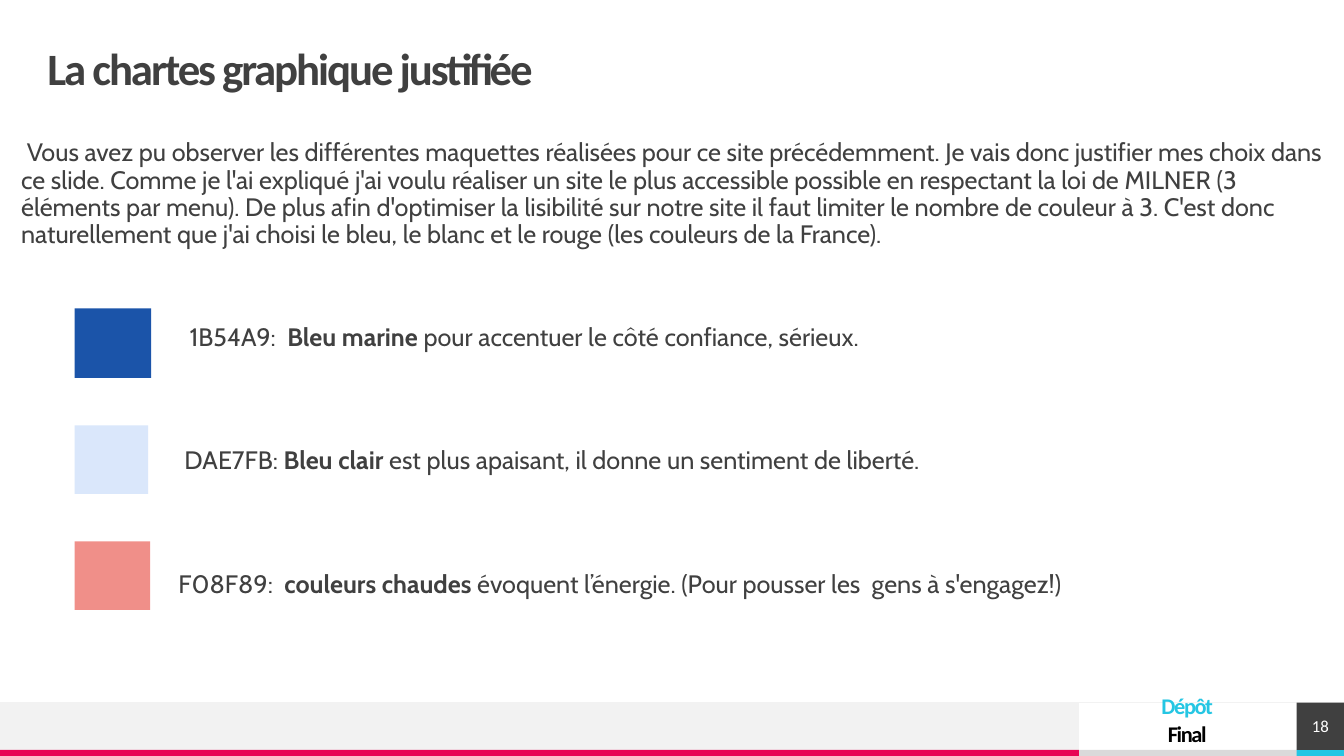
from dataclasses import dataclass

from lxml.etree import SubElement
from pptx import Presentation
from pptx.dml.color import RGBColor
from pptx.enum.shapes import MSO_CONNECTOR, MSO_SHAPE
from pptx.enum.text import MSO_ANCHOR, PP_ALIGN
from pptx.oxml.ns import qn
from pptx.util import Inches, Pt

DARK = "404040"
CYAN = "25C6E3"
PALE = "F2F2F2"
LEGEND_TOP, LEGEND_STEP = 3.22, 1.225


@dataclass
class Block:
    left: float
    top: float
    width: float
    height: float
    color: str


@dataclass
class Legend:
    swatch: Block
    text_left: float
    code: str
    name: str
    reason: str


FOOTER = [
    Block(10.7, 7.44, 2.17, 0.06, "DADADA"),
    Block(0, 6.97, 10.7, 0.47, PALE),
    Block(0, 7.44, 10.7, 0.06, "E80554"),
    Block(12.86, 7.44, 0.47, 0.06, CYAN),
]

LEGENDS = [
    Legend(Block(0.74, 3.06, 0.76, 0.69, "1B54A9"), 1.88, "1B54A9:  ",
           "Bleu marine", " pour accentuer le côté confiance, sérieux."),
    Legend(Block(0.74, 4.22, 0.73, 0.68, "DAE7FB"), 1.83, "DAE7FB: ",
           "Bleu clair", " est plus apaisant, il donne un sentiment de liberté."),
    Legend(Block(0.74, 5.37, 0.75, 0.68, "F08F89"), 1.77, "F08F89:  ",
           "couleurs chaudes",
           " évoquent l’énergie. (Pour pousser les  gens à s'engagez!)"),
]

INTRO = (
    " Vous avez pu observer les différentes maquettes réalisées pour ce site "
    "précédemment. Je vais donc justifier mes choix dans ce slide. Comme je l'ai "
    "expliqué j'ai voulu réaliser un site le plus accessible possible en respectant "
    "la loi de MILNER (3 éléments par menu). De plus afin d'optimiser la lisibilité "
    "sur notre site il faut limiter le nombre de couleur à 3. C'est donc "
    "naturellement que j'ai choisi le bleu, le blanc et le rouge (les couleurs de "
    "la France)."
)


def rgb(color: str) -> RGBColor:
    return RGBColor.from_string(color)


def style(r, size: float, color: str, font: str = "Cabin",
          bold: bool = False, spacing: float = 0) -> None:
    r.font.size = Pt(size)
    r.font.name = font
    r.font.bold = bold
    r.font.color.rgb = rgb(color)
    if spacing:
        r._r.get_or_add_rPr().set("spc", str(int(spacing * 100)))


def prepare(tf, anchor=MSO_ANCHOR.TOP) -> None:
    tf.word_wrap = True
    tf.vertical_anchor = anchor
    tf.margin_left = tf.margin_right = tf.margin_top = tf.margin_bottom = 0


def add_block(slide, block: Block):
    sp = slide.shapes.add_shape(
        MSO_SHAPE.RECTANGLE, Inches(block.left), Inches(block.top),
        Inches(block.width), Inches(block.height))
    sp.shadow.inherit = False
    sp.fill.solid()
    sp.fill.fore_color.rgb = rgb(block.color)
    sp.line.fill.background()
    return sp


def add_text(slide, left: float, top: float, width: float, height: float):
    tf = slide.shapes.add_textbox(
        Inches(left), Inches(top), Inches(width), Inches(height)).text_frame
    prepare(tf)
    return tf


def add_footer(slide) -> None:
    for block in FOOTER:
        add_block(slide, block)
    line = slide.shapes.add_connector(
        MSO_CONNECTOR.STRAIGHT, Inches(13.33), Inches(6.97), 0, Inches(6.97))
    line.line.color.rgb = rgb(PALE)
    line.line.width = Pt(0.5)
    SubElement(line._element.spPr, qn("a:effectLst"))

    tf = add_block(slide, Block(12.86, 6.97, 0.47, 0.47, DARK)).text_frame
    prepare(tf, MSO_ANCHOR.MIDDLE)
    tf.text = "18"
    tf.paragraphs[0].alignment = PP_ALIGN.CENTER
    style(tf.paragraphs[0].runs[0], 12, "FFFFFF", "Calibri")

    tf = add_text(slide, 11.2, 6.86, 1.15, 0.56)
    tf.text = "Dépôt\nFinal"
    for p, color in zip(tf.paragraphs, (CYAN, "000000")):
        p.alignment = PP_ALIGN.CENTER
        p.line_spacing = Pt(20)
        style(p.runs[0], 16, color, "Calibri", True, -1)


def add_title(slide) -> None:
    title = slide.shapes.title
    title.left, title.top = Inches(0.47), Inches(0.47)
    title.width, title.height = Inches(12.39), Inches(0.47)
    tf = title.text_frame
    prepare(tf, MSO_ANCHOR.MIDDLE)
    tf.text = "La chartes graphique justifiée"
    p = tf.paragraphs[0]
    p.alignment = PP_ALIGN.LEFT
    p.line_spacing = 0.9
    style(p.runs[0], 32, DARK, "Calibri", True, -1.5)


def add_intro(slide) -> None:
    tf = add_text(slide, 0.21, 1.39, 12.96, 1.1)
    tf.text = INTRO
    tf.paragraphs[0].line_spacing = 0.9
    style(tf.paragraphs[0].runs[0], 18, DARK)


def add_legend(slide, legend: Legend, top: float) -> None:
    add_block(slide, legend.swatch)
    p = add_text(slide, legend.text_left, top, 9.5, 0.3).paragraphs[0]
    p.line_spacing = 0.9
    for text in (legend.code, legend.name, legend.reason):
        r = p.add_run()
        r.text = text
        style(r, 18, DARK, bold=text == legend.name)


def main() -> None:
    prs = Presentation()
    prs.slide_width, prs.slide_height = Inches(13.33), Inches(7.5)
    slide = prs.slides.add_slide(prs.slide_layouts[5])
    add_footer(slide)
    add_title(slide)
    add_intro(slide)
    for i, legend in enumerate(LEGENDS):
        add_legend(slide, legend, LEGEND_TOP + i * LEGEND_STEP)
    prs.save("out.pptx")


if __name__ == "__main__":
    main()
